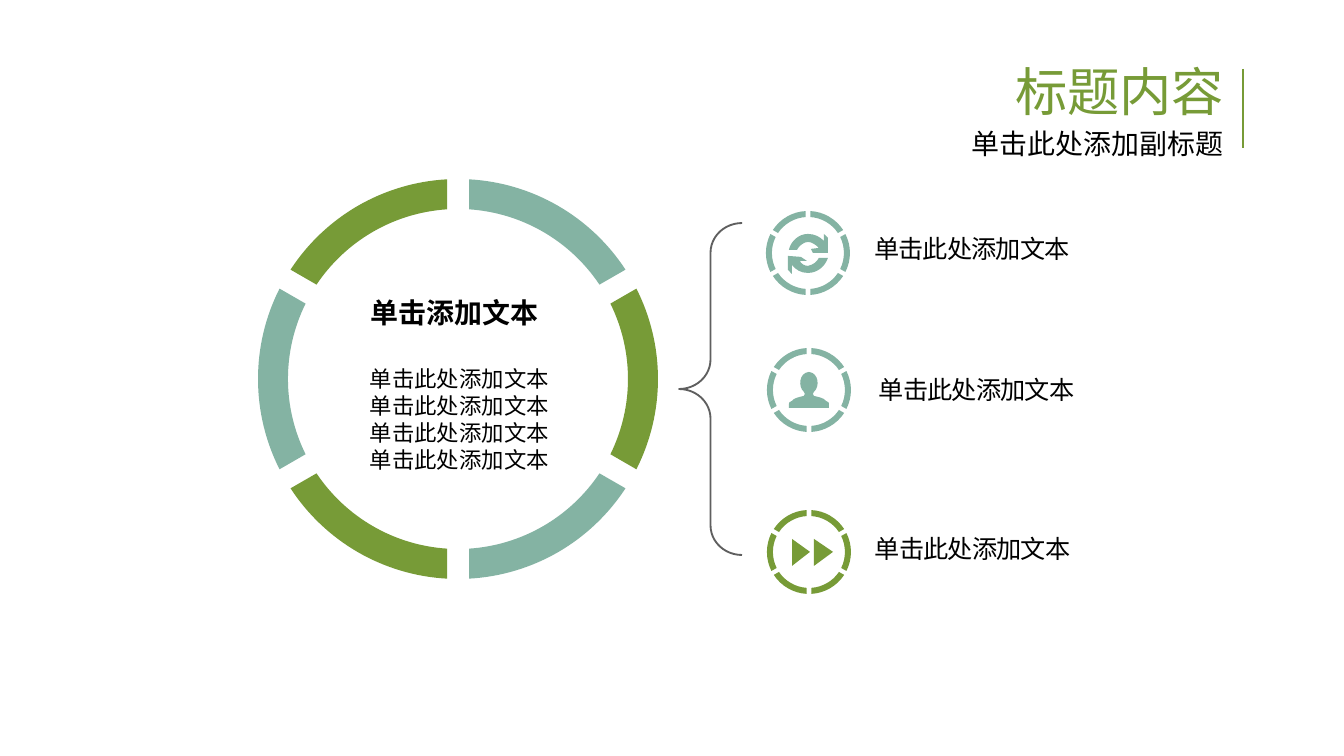
from math import asin, cos, radians, sin, tan
from pptx import Presentation
from pptx.dml.color import RGBColor
from pptx.enum.shapes import MSO_CONNECTOR, MSO_SHAPE
from pptx.enum.text import MSO_ANCHOR, PP_ALIGN
from pptx.oxml.ns import qn
from pptx.util import Pt

LEFT, CENTER, RIGHT = PP_ALIGN.LEFT, PP_ALIGN.CENTER, PP_ALIGN.RIGHT
TOP, MIDDLE = MSO_ANCHOR.TOP, MSO_ANCHOR.MIDDLE
STRAIGHT, BRACE = MSO_CONNECTOR.STRAIGHT, MSO_SHAPE.RIGHT_BRACE
FONT = "Noto Sans CJK SC"
PX = 914400 / 134.4
COLORS = {"green": "779B37", "teal": "84B3A3", "black": "000000", "gray": "5F5F5F"}

TEXTS = [
    {"at": (724, 60, 513, 67), "lines": ["标题内容"], "size": 28,
     "color": "green", "align": RIGHT, "spacing": 0.9},
    {"at": (724, 124, 513, 54), "lines": ["单击此处添加副标题"], "size": 15,
     "align": RIGHT, "spacing": 0.9},
    {"at": (337, 294, 235, 43), "lines": ["单击添加文本"], "size": 15,
     "bold": True, "align": CENTER, "spacing": 0.85},
    {"at": (335, 359, 249, 122), "lines": ["单击此处添加文本"] * 4, "size": 12,
     "align": CENTER},
]
LABEL = "单击此处添加文本"
LABEL_STYLE = {"size": 13.5, "spacing": 0.9, "anchor": MIDDLE, "inset": 0, "tracking": -40}

REFRESH = [
    [(-20, 3), (-7, 4), (-1, 8), (-4, 8, -5, 8, -8, 8), (-7, 11, -3, 13, 0, 13),
     (5, 12, 9, 9, 11, 5), (20, 5), (17, 14, 9, 20, 0, 20),
     (-7, 20, -12, 17, -16, 12), (-16, 21), (-20, 17)],
    [(0, -19), (7, -19, 12, -16, 16, -12), (16, -13, 16, -16, 16, -19), (20, -15),
     (20, 0), (5, 0), (3, -4), (11, -5), (8, -8, 4, -11, 0, -11),
     (-4, -11, -9, -7, -11, -3), (-19, -3), (-17, -12, -9, -19, 0, -19)],
]
HALF_PERSON = [(0, 18), (-20, 18), (-20, 14), (-20, 13, -20, 12, -17, 11),
               (-15, 8, -9, 7, -5, 6), (-4, 5, -4, 5, -4, 4),
               (-4, 3, -4, 3, -5, 2), (-11, -3, -10, -17, 0, -18)]
FORWARD = [[(-17, -13), (1, 0), (-17, 14)], [(5, -13), (24, 0), (5, 14)]]

BIG_RING = {"center": (458, 379), "outer": 200, "inner": 170, "half_gap": 11}
SMALL_RING = {"outer": 42, "inner": 36, "half_gap": 2.3}
SEGMENT_COLORS = ["teal", "green"] * 3
TITLE_RULE = (1243, 69, 1243, 148)
BRACE_AT = (679, 223, 63, 332)


def person():
    mirrored = []
    for before, part in zip(HALF_PERSON[-2::-1], HALF_PERSON[:0:-1]):
        controls = (-part[2], part[3], -part[0], part[1]) if len(part) == 6 else ()
        mirrored.append(controls + (-before[-2], before[-1]))
    return [HALF_PERSON + mirrored]


def emu(lengths):
    return [round(length * PX) for length in lengths]


def add_outline(page, center, contours, color):
    placed = [[emu(value + center[index % 2] for index, value in enumerate(part))
               for part in contour] for contour in contours]
    builder = page.shapes.build_freeform(*placed[0][0], scale=1.0)
    for index, contour in enumerate(placed):
        if index:
            builder.move_to(*contour[0])
        builder.add_line_segments([part[-2:] for part in contour[1:]], close=True)
    shape = builder.convert_to_shape()
    lines = list(shape._element.iter(qn("a:lnTo")))
    parts = [part for contour in placed for part in contour[1:]]
    for line, part in zip(lines, parts):
        if len(part) == 6:
            curve = line.makeelement(qn("a:cubicBezTo"), {})
            for x, y in zip(part[::2], part[1::2]):
                point = {"x": str(x - shape.left), "y": str(y - shape.top)}
                curve.append(line.makeelement(qn("a:pt"), point))
            line.getparent().replace(line, curve)
    shape.shadow.inherit = False
    shape.fill.solid()
    shape.fill.fore_color.rgb = RGBColor.from_string(COLORS[color])
    shape.line.fill.background()


def arc(radius, first, last):
    middle = (first + last) / 2
    reach = 4 / 3 * tan((last - first) / 8)
    path = [(radius * cos(first), radius * sin(first))]
    for a, b in ((first, middle), (middle, last)):
        path.append(tuple(radius * value for value in (
            cos(a) - reach * sin(a), sin(a) + reach * cos(a),
            cos(b) + reach * sin(b), sin(b) - reach * cos(b), cos(b), sin(b))))
    return path


def add_ring(page, center, outer, inner, half_gap, colors):
    outer_trim, inner_trim = asin(half_gap / outer), asin(half_gap / inner)
    for index, color in enumerate(colors):
        start, end = radians(60 * index - 90), radians(60 * index - 30)
        band = arc(outer, start + outer_trim, end - outer_trim)
        band += arc(inner, end - inner_trim, start + inner_trim)
        add_outline(page, center, [band], color)


def add_text(page, at, lines, size, color="black", bold=False, align=LEFT,
             spacing=1.0, anchor=TOP, inset=None, tracking=None):
    frame = page.shapes.add_textbox(*emu(at)).text_frame
    frame.word_wrap = True
    frame.vertical_anchor = anchor
    if inset is not None:
        frame.margin_left = frame.margin_right = inset
        frame.margin_top = frame.margin_bottom = inset
    for index, line in enumerate(lines):
        para = frame.add_paragraph() if index else frame.paragraphs[0]
        para.alignment = align
        para.line_spacing = spacing
        span = para.add_run()
        span.text = line
        span.font.size = Pt(size)
        span.font.bold = bold
        span.font.name = FONT
        span.font.color.rgb = RGBColor.from_string(COLORS[color])
        props = span.font._element
        east_asian = props.makeelement(qn("a:ea"), {"typeface": FONT})
        props.find(qn("a:latin")).addnext(east_asian)
        if tracking:
            props.set("spc", str(tracking))


def style_line(line, color, width):
    line.color.rgb = RGBColor.from_string(COLORS[color])
    line.width = Pt(width)


def main():
    items = [
        {"center": (808, 253), "color": "teal", "label": (874, 237, 232, 27),
         "icon": REFRESH},
        {"center": (809, 390), "color": "teal", "label": (879, 378, 227, 27),
         "icon": person()},
        {"center": (809, 552), "color": "green", "label": (875, 537, 211, 27),
         "icon": FORWARD},
    ]
    deck = Presentation()
    deck.slide_width, deck.slide_height = emu((1344, 756))
    page = deck.slides.add_slide(deck.slide_layouts[6])

    rule = page.shapes.add_connector(STRAIGHT, *emu(TITLE_RULE))
    style_line(rule.line, "green", 1.5)
    props = rule._element.spPr
    props.append(props.makeelement(qn("a:effectLst"), {}))

    add_ring(page, **BIG_RING, colors=SEGMENT_COLORS)
    brace = page.shapes.add_shape(BRACE, *emu(BRACE_AT))
    brace.rotation = 180
    brace.adjustments[0] = 0.47
    brace.adjustments[1] = 0.5
    brace.shadow.inherit = False
    brace.fill.background()
    style_line(brace.line, "gray", 1)

    for item in items:
        add_ring(page, item["center"], **SMALL_RING, colors=[item["color"]] * 6)
        add_outline(page, item["center"], item["icon"], item["color"])
        add_text(page, item["label"], [LABEL], **LABEL_STYLE)
    for text in TEXTS:
        add_text(page, **text)
    deck.save("out.pptx")


if __name__ == "__main__":
    main()
